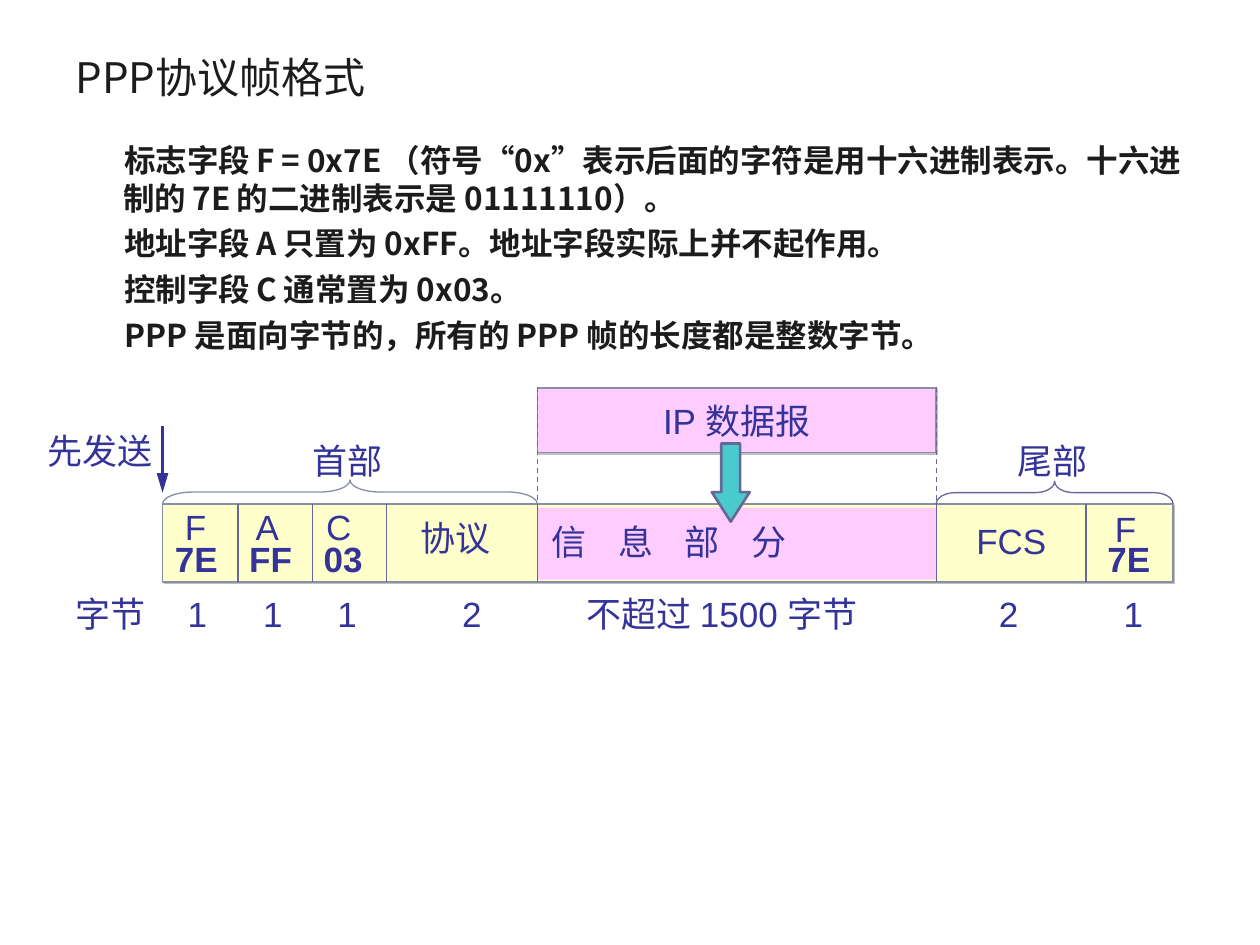
from lxml import etree
from pptx import Presentation
from pptx.dml.color import RGBColor
from pptx.enum.dml import MSO_LINE
from pptx.enum.shapes import MSO_CONNECTOR, MSO_SHAPE as Shape
from pptx.enum.text import MSO_ANCHOR as Anchor, MSO_AUTO_SIZE as AutoSize, PP_ALIGN as Align
from pptx.oxml.ns import qn
from pptx.util import Inches, Pt

INK = RGBColor(0x1C, 0x1C, 0x1C)
NAVY = RGBColor(0x33, 0x33, 0x99)
SLATE = RGBColor(0x66, 0x66, 0x99)
GREY = RGBColor(0x87, 0x8F, 0xA5)
PINK = RGBColor(0xFF, 0xCC, 0xFF)
CREAM = RGBColor(0xFF, 0xFF, 0xCC)
TEAL = RGBColor(0x49, 0xCA, 0xCD)
CJK = "Noto Sans CJK SC"

# Each note is a list of parts joined by slightly smaller spaces
NOTES = [
    ["标志字段", "F", "= 0x7E （符号“0x”表示后面的字符是用十六进制表示。十六进制的", "7E",
     "的二进制表示是 01111110）。"],
    ["地址字段", "A", "只置为 0xFF。地址字段实际上并不起作用。"],
    ["控制字段", "C", "通常置为 0x03。"],
    ["PPP 是面向字节的，所有的 PPP 帧的长度都是整数字节。"],
]
FRAME_LEFT, FRAME_TOP, FRAME_RIGHT, FRAME_BOTTOM = 1.29, 4, 9.31, 4.62
INFO_LEFT, INFO_RIGHT = 4.265, 7.43
DIVIDERS = [1.89, 2.48, 3.07, INFO_LEFT, INFO_RIGHT, 8.62]

# Labels: text, left, width
SIZES = [("字节", 0.5, 0.85), ("1", 1.39, 0.35), ("1", 1.99, 0.35), ("1", 2.58, 0.35),
         ("2", 3.57, 0.35), ("不超过 1500 字节", 4.56, 2.6), ("2", 7.83, 0.35),
         ("1", 8.82, 0.35)]
VALUES = [("7E", 1.29, 0.54), ("FF", 1.88, 0.54), ("03", 2.47, 0.51), ("7E", 8.69, 0.54)]
# Labels with their own height on the page: text, left, width, top
NAMES = [("F", 1.37, 0.37, 3.96), ("A", 1.93, 0.38, 3.96), ("C", 2.49, 0.4, 3.96),
         ("协议", 3.24, 0.85, 4.05), ("FCS", 7.65, 0.85, 4.07), ("F", 8.75, 0.37, 3.98),
         ("首部", 2.38, 0.85, 3.44), ("尾部", 7.98, 0.85, 3.44), ("先发送", 0.28, 1.13, 3.36)]


def write(para, text, *, size=20, font="Arial", color=NAVY, bold=False, align=Align.LEFT,
          tracking=0):
    para.alignment = align
    span = para.add_run()
    span.text = text
    span.font.size, span.font.name, span.font.bold = Pt(size), font, bold
    span.font.color.rgb = color
    props = span.font._element
    if tracking:
        props.set("spc", str(tracking * 100))
    east = etree.Element(qn("a:ea"), typeface=CJK)
    props.find(qn("a:latin")).addnext(east)


def add_label(page, text, left, width, top, **style):
    box = page.shapes.add_textbox(Inches(left), Inches(top), Inches(width), Inches(0.44))
    box.text_frame.word_wrap = False
    box.text_frame.auto_size = AutoSize.SHAPE_TO_FIT_TEXT
    write(box.text_frame.paragraphs[0], text, **style)


def add_block(page, kind, left, top, width, height, *, fill=None, line=None, weight=0.75,
              shadow=False):
    block = page.shapes.add_shape(kind, Inches(left), Inches(top), Inches(width), Inches(height))
    block.shadow.inherit = False
    if fill is None:
        block.fill.background()
    else:
        block.fill.solid()
        block.fill.fore_color.rgb = fill
    if line is None:
        block.line.fill.background()
    else:
        block.line.color.rgb = line
        block.line.width = Pt(weight)
    if shadow:
        effects = block._element.spPr.find(qn("a:effectLst"))
        cast = etree.SubElement(effects, qn("a:outerShdw"), dist=str(Pt(1.4)), dir="2700000",
                                algn="ctr", rotWithShape="0")
        etree.SubElement(cast, qn("a:srgbClr"), val="C0C0C0")
    return block


def add_line(page, x1, y1, x2, y2, *, color=SLATE, weight=0.75, dashed=False, arrow=False):
    line = page.shapes.add_connector(MSO_CONNECTOR.STRAIGHT, Inches(x1), Inches(y1),
                                     Inches(x2), Inches(y2))
    line.line.color.rgb = color
    line.line.width = Pt(weight)
    if dashed:
        line.line.dash_style = MSO_LINE.DASH
    if arrow:
        etree.SubElement(line.line._get_or_add_ln(), qn("a:tailEnd"), type="triangle", len="lg")
    etree.SubElement(line._element.spPr, qn("a:effectLst"))


def add_brace(page, left, right, depth, curve, color):
    """A brace that opens downward onto the frame's top edge."""
    span = right - left
    brace = add_block(page, Shape.LEFT_BRACE, (left + right - depth) / 2,
                      FRAME_TOP - (depth + span) / 2, depth, span, line=color)
    brace.rotation = 90
    brace.adjustments[0] = curve / depth


def add_title(page, text):
    title = page.shapes.title
    title.left, title.top, title.width, title.height = map(Inches, (0.5, 0.3, 9, 0.61))
    title.text_frame.vertical_anchor = Anchor.MIDDLE
    write(title.text_frame.paragraphs[0], text, size=24, font=CJK, color=INK)


def add_notes(page):
    box = page.shapes.add_textbox(Inches(0.5), Inches(1.07), Inches(9), Inches(5.23))
    frame = box.text_frame
    frame.word_wrap = True
    for number, parts in enumerate(NOTES):
        para = frame.add_paragraph() if number else frame.paragraphs[0]
        props = para._p.get_or_add_pPr()
        props.set("marL", str(Inches(0.38)))
        props.set("indent", str(Inches(0.01)))
        if number:
            para.space_before = Pt(4.5)
        for index, part in enumerate(parts):
            if index:
                write(para, " ", size=16, font=CJK, color=INK, bold=True)
            write(para, part, size=18, font=CJK, color=INK, bold=True)


def add_frame(page):
    info_width = INFO_RIGHT - INFO_LEFT
    # Datagram above the frame, with guides down to the information field
    datagram = add_block(page, Shape.RECTANGLE, INFO_LEFT, 3.08, info_width, 0.51,
                         fill=PINK, line=GREY, shadow=True)
    datagram.text_frame.word_wrap = False
    datagram.text_frame.vertical_anchor = Anchor.MIDDLE
    write(datagram.text_frame.paragraphs[0], "IP 数据报", align=Align.CENTER)
    for x in (INFO_LEFT, INFO_RIGHT):
        add_line(page, x, 3.07, x, 4.04, dashed=True)

    # Frame bar and its fields
    add_block(page, Shape.RECTANGLE, FRAME_LEFT, FRAME_TOP, FRAME_RIGHT - FRAME_LEFT,
              FRAME_BOTTOM - FRAME_TOP, fill=CREAM, line=GREY, shadow=True)
    add_block(page, Shape.RECTANGLE, INFO_LEFT, 4.03, info_width, 0.57, fill=PINK)
    for x in DIVIDERS:
        add_line(page, x, FRAME_TOP, x, FRAME_BOTTOM)

    # Field names, values and sizes
    for text, left, width in VALUES:
        add_label(page, text, left, width, 4.22, bold=True)
    for text, left, width in SIZES:
        add_label(page, text, left, width, 4.65)
    for text, left, width, top in NAMES:
        add_label(page, text, left, width, top)
    add_label(page, "信息部分", 4.28, 2.3, 4.08, tracking=18)

    # Braces and arrows
    add_brace(page, FRAME_LEFT, INFO_LEFT, 0.19, 0.24, GREY)
    add_brace(page, INFO_RIGHT, FRAME_RIGHT, 0.18, 0.15, SLATE)
    add_line(page, FRAME_LEFT, 3.38, FRAME_LEFT, 3.91, color=NAVY, weight=2.25, arrow=True)
    arrow = add_block(page, Shape.DOWN_ARROW, 5.65, 3.52, 0.3, 0.62, fill=TEAL, line=SLATE,
                      weight=1.5)
    arrow.adjustments[0], arrow.adjustments[1] = 0.5, 0.78


def main():
    deck = Presentation()
    deck.slide_width, deck.slide_height = Inches(10), Inches(7.5)
    page = deck.slides.add_slide(deck.slide_layouts[5])
    add_title(page, "PPP协议帧格式")
    add_notes(page)
    add_frame(page)
    deck.save("out.pptx")


if __name__ == "__main__":
    main()
